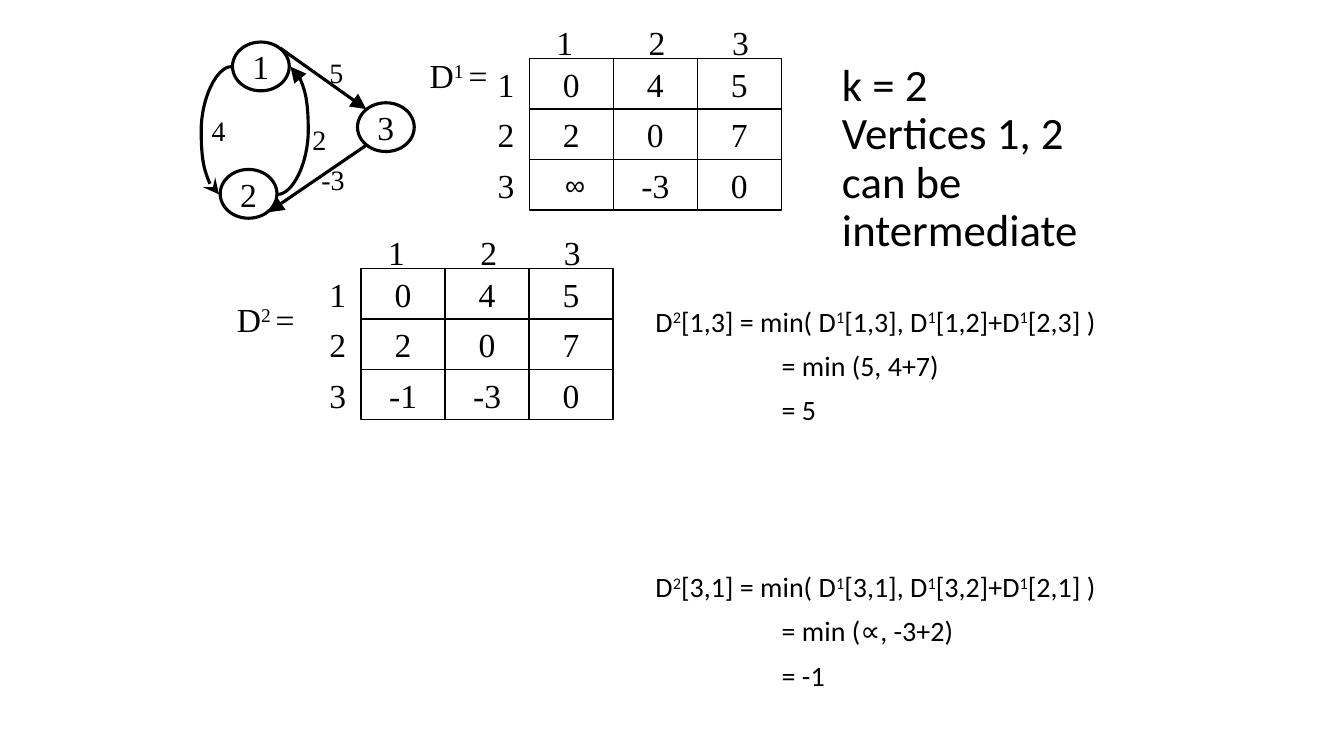
from lxml import etree
from pptx import Presentation
from pptx.dml.color import RGBColor
from pptx.enum.shapes import MSO_CONNECTOR as LINE, MSO_SHAPE as SHAPE
from pptx.enum.text import MSO_ANCHOR as ANCHOR, PP_ALIGN as ALIGN
from pptx.oxml.ns import qn
from pptx.util import Cm, Pt

BLACK = "000000"
SERIF, SANS = "Times New Roman", "Calibri"
CELL_W, CELL_H = 2.117, 1.27


def color(value):
    return RGBColor.from_string(value)


def write(tf, text, size=24, font=SERIF, align=ALIGN.CENTER, spacing=None,
          before=0, indents=()):
    """Write one paragraph per line; text between carets is superscript."""
    for i, line in enumerate(text.split("\n")):
        p = tf.paragraphs[0] if i == 0 else tf.add_paragraph()
        p.alignment, p.line_spacing, p.space_before = align, spacing, Pt(before)
        if indents:
            p._p.get_or_add_pPr().set("marL", str(Cm(indents[i])))
        for j, piece in enumerate(line.split("^")):
            r = p.add_run()
            r.text = piece
            r.font.size, r.font.name = Pt(size), font
            r.font.color.rgb = color(BLACK)
            if j % 2:
                r._r.get_or_add_rPr().set("baseline", "30000")


def fill_frame(tf, text, anchor=ANCHOR.MIDDLE, wrap=True, **fmt):
    tf.margin_left = tf.margin_right = tf.margin_top = tf.margin_bottom = 0
    tf.word_wrap, tf.vertical_anchor = wrap, anchor
    write(tf, text, **fmt)


def add_text(s, x, y, w, h, text, **fmt):
    box = s.shapes.add_textbox(Cm(x), Cm(y), Cm(w), Cm(h))
    fill_frame(box.text_frame, text, **fmt)


def add_outline(s, kind, x, y, w, h, text, weight, **fmt):
    """Add an unfilled shape with a black line and centred text."""
    sp = s.shapes.add_shape(kind, Cm(x), Cm(y), Cm(w), Cm(h))
    sp.shadow.inherit = False
    sp.fill.background()
    sp.line.color.rgb, sp.line.width = color(BLACK), Pt(weight)
    fill_frame(sp.text_frame, text, wrap=False, **fmt)


def add_edge(s, start, end, arrow_end="tailEnd", arrow="triangle", bend=None):
    """Draw an arrow, curved when bend gives the connector's adjustment."""
    kind = LINE.STRAIGHT if bend is None else LINE.CURVE
    edge = s.shapes.add_connector(kind, *map(Cm, start + end))
    edge.line.color.rgb, edge.line.width = color(BLACK), Pt(2.25)
    spPr = edge._element.spPr
    etree.SubElement(spPr.find(qn("a:ln")), qn("a:" + arrow_end),
                     type=arrow, w="lg", len="lg")
    etree.SubElement(spPr, qn("a:effectLst"))
    if bend is not None:
        guides = spPr.find(qn("a:prstGeom")).get_or_add_avLst()
        etree.SubElement(guides, qn("a:gd"), name="adj1", fmla=f"val {bend}")


def add_graph(s, x, y):
    for dx, dy, name in [(0.78, 0, "1"), (0.47, 3.21, "2"), (3.93, 1.53, "3")]:
        add_outline(s, SHAPE.OVAL, x + dx, y + dy, 1.43, 1.23, name, 2.25)
    add_edge(s, (x + 1.98, y + 0.15), (x + 4.15, y + 1.69))
    add_edge(s, (x + 4.15, y + 2.6), (x + 1.68, y + 4.29))
    add_edge(s, (x + 0.44, y + 3.84), (x + 0.76, y + 0.62),
             "headEnd", "stealth", bend=-140600)
    add_edge(s, (x + 1.92, y + 3.84), (x + 2.24, y + 0.62), bend=240600)
    weights = [(2.97, 0.21, 0.86, "5"), (2.77, 2.92, 1.09, "-3"),
               (2.54, 1.91, 0.86, "2"), (0, 1.69, 0.86, "4")]
    for dx, dy, width, weight in weights:
        add_text(s, x + dx, y + dy, width, 1.09, weight, size=20)


def add_matrix(s, x, y, rows):
    """Place a distance grid at x, y with vertex numbers above and to its left."""
    for i, row in enumerate(rows):
        for j, value in enumerate(row):
            fmt = {"size": 20, "font": "Arial"} if "∞" in value else {}
            add_outline(s, SHAPE.RECTANGLE, x + j * CELL_W, y + i * CELL_H,
                        CELL_W, CELL_H, value, 1, **fmt)
    for i, dx in enumerate((0.42, 2.75, 4.85)):
        add_text(s, x + dx, y - 1.06, 0.94, CELL_H, str(i + 1))
        add_text(s, x - 1.06, y + i * CELL_H, 0.94, CELL_H, str(i + 1))


def add_derivation(s, x, y, text):
    add_text(s, x, y, 12.2, 3.6, text, anchor=ANCHOR.TOP, size=20, font=SANS,
             align=ALIGN.LEFT, spacing=0.9, before=10, indents=(0, 3.18, 3.18))


def build_slide(prs):
    s = prs.slides.add_slide(prs.slide_layouts[6])
    add_graph(s, 5.08, 1.06)
    add_text(s, 10.83, 1.26, 1.9, 1.27, "D^1 ^=", align=ALIGN.LEFT)
    add_matrix(s, 13.34, 1.48, [("0", "4", "5"), ("2", "0", "7"), (" ∞", "-3", "0")])
    add_text(s, 5.97, 7.41, 1.9, 1.27, "D^2 ^=", align=ALIGN.LEFT)
    add_matrix(s, 9.1, 6.77, [("0", "4", "5"), ("2", "0", "7"), ("-1", "-3", "0")])
    add_text(s, 21.22, 1.69, 6.9, 4.65, "k = 2\nVertices 1, 2 can be intermediate",
             size=32, font=SANS, align=ALIGN.LEFT, spacing=0.9)
    add_derivation(s, 16.52, 7.76, "D^2^[1,3] = min( D^1^[1,3], D^1^[1,2]+D^1^[2,3] )"
                                   "\n= min (5, 4+7)\n= 5")
    add_derivation(s, 16.52, 14.45, "D^2^[3,1] = min( D^1^[3,1], D^1^[3,2]+D^1^[2,1] )"
                                    "\n= min (∝, -3+2)\n= -1")


def main():
    prs = Presentation()
    prs.slide_width, prs.slide_height = Cm(33.87), Cm(19.05)
    build_slide(prs)
    prs.save("out.pptx")


if __name__ == "__main__":
    main()
